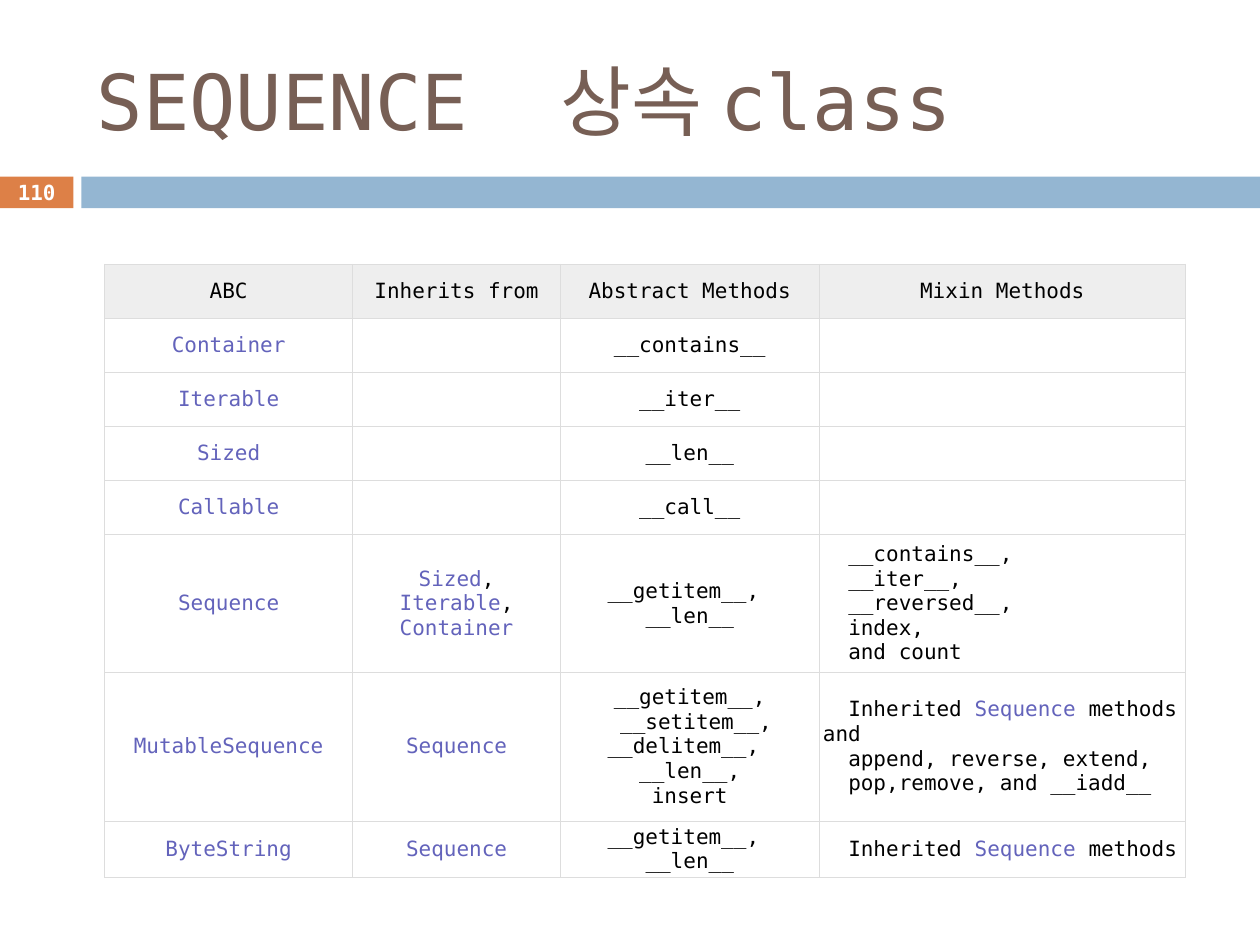
from lxml import etree
from pptx import Presentation
from pptx.dml.color import RGBColor
from pptx.enum.shapes import MSO_SHAPE
from pptx.enum.text import MSO_ANCHOR, MSO_AUTO_SIZE, PP_ALIGN
from pptx.oxml.ns import qn
from pptx.util import Cm, Pt

RECTANGLE = MSO_SHAPE.RECTANGLE
MIDDLE = MSO_ANCHOR.MIDDLE
NO_AUTOFIT = MSO_AUTO_SIZE.NONE
LEFT, CENTER = PP_ALIGN.LEFT, PP_ALIGN.CENTER

FONT = "DejaVu Sans Mono"
BROWN = RGBColor(0x77, 0x5F, 0x55)
ORANGE = RGBColor(0xDD, 0x80, 0x47)
BLUE = RGBColor(0x94, 0xB6, 0xD2)
VIOLET = RGBColor(0x63, 0x63, 0xBB)
BLACK = RGBColor(0x00, 0x00, 0x00)
WHITE = RGBColor(0xFF, 0xFF, 0xFF)
HEADER_GREY = RGBColor(0xEE, 0xEE, 0xEE)
BORDER_GREY = RGBColor(0xDD, 0xDD, 0xDD)

COLUMN_WIDTHS = [5.0, 4.19, 5.21, 7.39]
ROW_HEIGHTS = [1.09] * 5 + [2.77, 3.0, 1.14]
ROWS = [
    ["ABC", "Inherits from", "Abstract Methods", "Mixin Methods"],
    ["Container", "", "__contains__", ""],
    ["Iterable", "", "__iter__", ""],
    ["Sized", "", "__len__", ""],
    ["Callable", "", "__call__", ""],
    ["Sequence", "Sized|,\nIterable|,\nContainer", "__getitem__, \n__len__",
     "__contains__, \n__iter__, \n__reversed__, \nindex,\nand count"],
    ["MutableSequence", "Sequence",
     "__getitem__,\n __setitem__,\n__delitem__, \n__len__,\ninsert",
     "Inherited |Sequence |methods and\nappend, reverse, extend, \n"
     "pop,remove, and __iadd__"],
    ["ByteString", "Sequence", "__getitem__, \n__len__",
     "Inherited |Sequence |methods"],
]
CLASS_NAMES = [row[0] for row in ROWS[1:]]


def write(frame, text, size=12, color=BLACK, bold=False, align=CENTER, indent=0):
    for number, line in enumerate(text.split("\n")):
        para = frame.add_paragraph() if number else frame.paragraphs[0]
        para.alignment = align
        if indent:
            properties = para._p.get_or_add_pPr()
            properties.set("marL", "0")
            properties.set("indent", str(Cm(indent)))
        for piece in line.split("|"):
            span = para.add_run()
            span.text = piece
            span.font.name = FONT
            span.font.size = Pt(size)
            span.font.bold = bold
            span.font.color.rgb = VIOLET if piece.strip() in CLASS_NAMES else color


def add_borders(cell, color, width):
    properties = cell._tc.get_or_add_tcPr()
    for position, side in enumerate(["lnL", "lnR", "lnT", "lnB"]):
        line = etree.Element(qn(f"a:{side}"), w=str(Pt(width)))
        fill = etree.SubElement(line, qn("a:solidFill"))
        etree.SubElement(fill, qn("a:srgbClr"), val=str(color))
        properties.insert(position, line)


deck = Presentation()
deck.slide_width, deck.slide_height = Cm(25.4), Cm(19.05)
page = deck.slides.add_slide(deck.slide_layouts[5])

for left, width, color in [(0, 1.48, ORANGE), (1.64, 23.76, BLUE)]:
    bar = page.shapes.add_shape(RECTANGLE, Cm(left), Cm(3.56), Cm(width), Cm(0.64))
    bar.shadow.inherit = False
    bar.fill.solid()
    bar.fill.fore_color.rgb = color
    bar.line.fill.background()

title = page.shapes.title
title.left, title.top, title.width, title.height = Cm(1.7), Cm(0.64), Cm(22.66), Cm(2.74)
title.text_frame.auto_size = NO_AUTOFIT
title.text_frame.vertical_anchor = MIDDLE
write(title.text_frame, "SEQUENCE  상속 class", size=44, color=BROWN, align=LEFT)

number_box = page.shapes.add_textbox(0, Cm(3.53), Cm(1.48), Cm(0.69))
frame = number_box.text_frame
frame.word_wrap = True
frame.vertical_anchor = MIDDLE
frame.margin_left = frame.margin_right = frame.margin_top = frame.margin_bottom = 0
write(frame, "110", size=11.9, color=WHITE, bold=True)

table = page.shapes.add_table(
    len(ROWS), len(COLUMN_WIDTHS), Cm(2.11), Cm(5.33),
    Cm(sum(COLUMN_WIDTHS)), Cm(sum(ROW_HEIGHTS))).table
table.first_row = table.horz_banding = False
for column, width in zip(table.columns, COLUMN_WIDTHS):
    column.width = Cm(width)
for row, height in zip(table.rows, ROW_HEIGHTS):
    row.height = Cm(height)

for row_number, texts in enumerate(ROWS):
    for column_number, text in enumerate(texts):
        cell = table.cell(row_number, column_number)
        cell.vertical_anchor = MIDDLE
        cell.margin_left = cell.margin_right = Cm(0.08)
        cell.margin_top = cell.margin_bottom = Cm(0.03)
        cell.fill.solid()
        cell.fill.fore_color.rgb = WHITE if row_number else HEADER_GREY
        add_borders(cell, BORDER_GREY, 0.6)
        if text:
            is_mixin = row_number > 0 and column_number == 3
            write(cell.text_frame, text, align=LEFT if is_mixin else CENTER,
                  indent=0.51 if is_mixin else 0)

deck.save("out.pptx")
